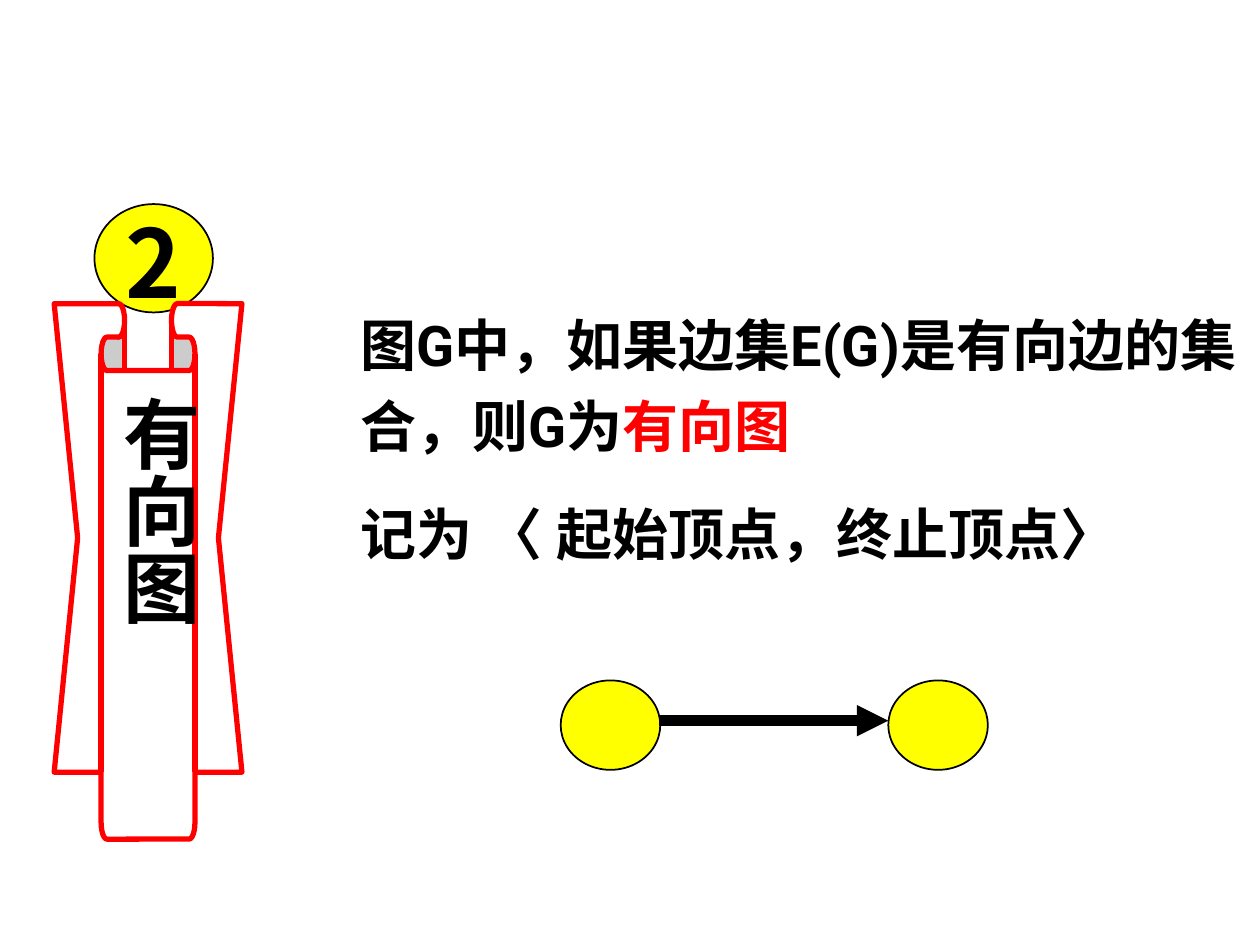
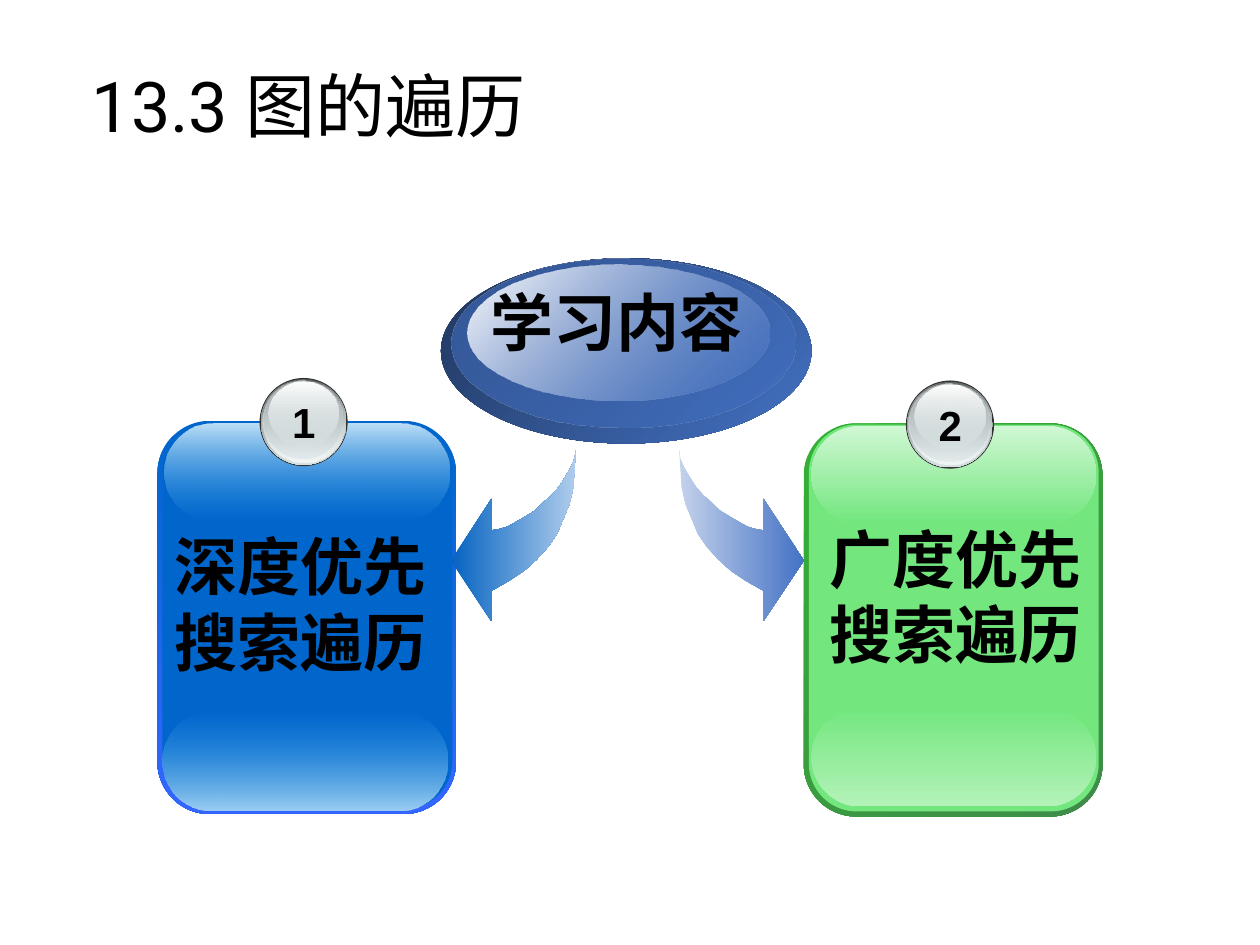
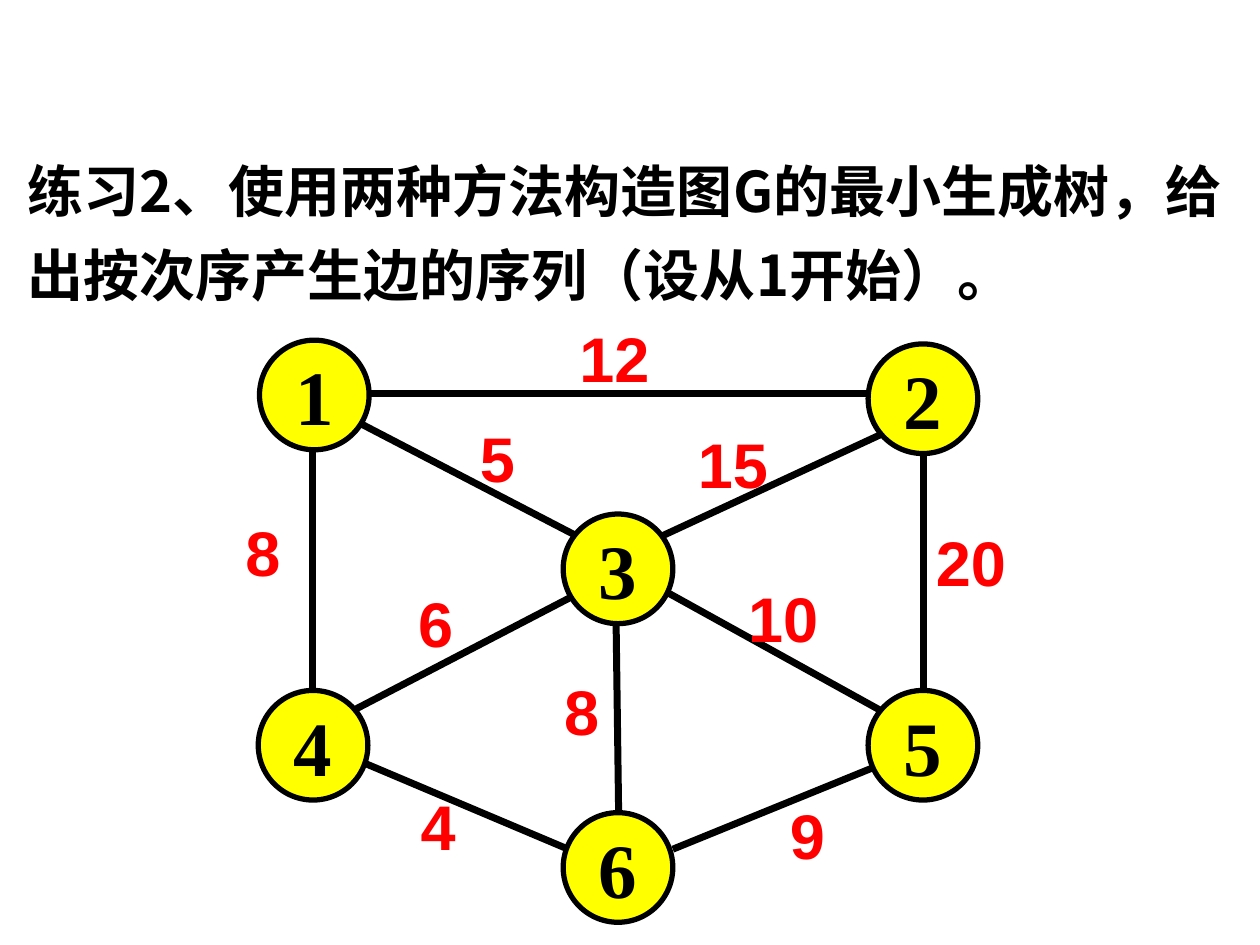
from pptx import Presentation
from pptx.dml.color import RGBColor
from pptx.enum.shapes import MSO_CONNECTOR, MSO_SHAPE as SHAPE
from pptx.enum.text import MSO_ANCHOR as ANCHOR, MSO_AUTO_SIZE as FIT, PP_ALIGN as ALIGN
from pptx.oxml.ns import qn
from pptx.util import Inches, Pt
from lxml.etree import SubElement

rgb = RGBColor.from_string
BLACK, WHITE, RED, YELLOW = map(rgb, ("000000", "FFFFFF", "FF0000", "FFFF00"))
BLUE, BRIGHT_BLUE, SKY = map(rgb, ("0066CC", "3366FF", "3CA1E6"))
SKY_LIGHT, SKY_PALE = map(rgb, ("9BCFF2", "BEE0F7"))
GREEN, GREEN_EDGE, GREEN_DARK = map(rgb, ("73E77E", "34B034", "3F8B4A"))
GREEN_LIGHT, GREEN_PALE = map(rgb, ("B3F2B9", "D0F7D4"))
NAVY, ROYAL, STEEL = map(rgb, ("1F355B", "365A9B", "4472C4"))
STEEL_LIGHT, LINK_BLUE, LINK_LIGHT = map(rgb, ("C4D2EC", "0563C1", "B0CDEB"))
CHARCOAL, GREY, SILVER = map(rgb, ("333333", "636869", "AAB2B3"))
MIST, MIST_LIGHT = map(rgb, ("D6E1E2", "F1F5F5"))

ARIAL, ROBOTO, NOTO, TIMES = "Arial", "Roboto", "Noto Sans CJK SC", "Times New Roman"


# Text
def write(frame, text, *, size, font=ARIAL, color=BLACK, bold=True, align=ALIGN.LEFT,
          line=None, gap=0):
    """text is a string or a list of paragraphs; a paragraph is a string
    or a list of (words, font, color) runs."""
    for number, content in enumerate([text] if isinstance(text, str) else text):
        paragraph = frame.add_paragraph() if number else frame.paragraphs[0]
        paragraph.alignment = align
        paragraph.space_before = Pt(gap if number else 0)
        if line:
            paragraph.line_spacing = line
        runs = [(content, font, color)] if isinstance(content, str) else content
        for words, face, tint in runs:
            run = paragraph.add_run()
            run.text = words
            run.font.size, run.font.bold, run.font.name = Pt(size), bold, face
            run.font.color.rgb = tint
            SubElement(run.font._element, qn("a:ea")).set("typeface", face)


def text_box(slide, box, text, *, wrap=True, fit=FIT.SHAPE_TO_FIT_TEXT, **style):
    frame = slide.shapes.add_textbox(*map(Inches, box)).text_frame
    frame.word_wrap, frame.auto_size = wrap, fit
    write(frame, text, **style)
    return frame


# Shapes and fills
def paint(shape, fill, edge=None, width=1):
    """fill is a colour, or (angle, start, end) with (colour, opacity) ends."""
    shape.shadow.inherit = False
    if isinstance(fill, RGBColor):
        shape.fill.solid()
        shape.fill.fore_color.rgb = fill
    else:
        angle, *ends = fill
        shape.fill.gradient()
        shape.fill.gradient_angle = (360 - angle) % 360
        for stop, (color, _) in zip(shape.fill.gradient_stops, ends):
            stop.color.rgb = color
        tints = shape._element.spPr.findall(".//" + qn("a:srgbClr"))
        for tint, (_, opacity) in zip(tints, ends):
            if opacity < 100:
                SubElement(tint, qn("a:alpha")).set("val", str(opacity * 1000))
    if edge is None:
        shape.line.fill.background()
    else:
        shape.line.color.rgb = edge
        shape.line.width = Pt(width)
    return shape


def blend(angle, start, end, start_opacity=100, end_opacity=100):
    return angle, (start, start_opacity), (end, end_opacity)


def add_shape(slide, kind, box, fill, edge=None, width=1, adjust=()):
    shape = slide.shapes.add_shape(kind, *map(Inches, box))
    for index, value in enumerate(adjust):
        shape.adjustments[index] = value
    return paint(shape, fill, edge, width)


def add_line(slide, start, end, width, arrow=False):
    link = slide.shapes.add_connector(MSO_CONNECTOR.STRAIGHT, *map(Inches, start + end))
    link.line.color.rgb = BLACK
    link.line.width = Pt(width)
    if arrow:
        SubElement(link.line._get_or_add_ln(), qn("a:tailEnd")).set("type", "triangle")
    SubElement(link._element.spPr, qn("a:effectLst"))


# Slide 1: directed graph
def directed_graph(slide):
    # Numbered ribbon
    add_shape(slide, SHAPE.OVAL, (0.75, 1.62, 0.94, 0.86), YELLOW, BLACK)
    text_box(slide, (0.9, 1.57, 0.71, 1), "2", fit=FIT.NONE, size=54, font=NOTO, line=Pt(65))
    add_shape(slide, SHAPE.DOWN_RIBBON, (0.43, 2.41, 1.49, 4.25), WHITE, RED, 3, (0.125, 0.5))
    label = text_box(slide, (0.75, 3.04, 0.93, 3.62), "有向图", fit=FIT.NONE,
                     size=44, align=ALIGN.CENTER)
    label.margin_left = label.margin_right = Inches(0.05)
    label.margin_top = label.margin_bottom = Inches(0.1)
    label._txBody.bodyPr.set("vert", "eaVert")

    # Definition
    text_box(slide, (2.76, 2.31, 7.28, 2.25),
             [[("图G中，如果边集E(G)是有向边的集合，则G为", ROBOTO, BLACK),
               ("有向图", ROBOTO, RED)],
              "记为 〈 起始顶点，终止顶点〉"],
             size=32, font=ROBOTO, line=1.2, gap=16)

    # Two vertices and the directed edge
    for left in (4.45, 7.05):
        add_shape(slide, SHAPE.OVAL, (left, 5.4, 0.79, 0.71), YELLOW, BLACK)
    add_line(slide, (5.23, 5.72), (7.05, 5.72), 6, arrow=True)


# Slide 2: graph traversal
BADGE_RINGS = (
    (0, 0, 0.7, 0.7, CHARCOAL),
    (0.01, 0.01, 0.68, 0.68, blend(90, GREY, MIST)),
    (0.02, 0.01, 0.66, 0.66, blend(90, MIST, MIST_LIGHT, 0)),
    (0.03, 0.02, 0.63, 0.62, blend(90, SILVER, MIST, 100, 48)),
    (0.07, 0.03, 0.56, 0.5, blend(90, WHITE, MIST, 100, 38)),
)


def badge(slide, left, top, number):
    for dx, dy, width, height, fill in BADGE_RINGS:
        add_shape(slide, SHAPE.OVAL, (left + dx, top + dy, width, height), fill)
    text_box(slide, (left + 0.16, top + 0.1, 0.38, 0.5), number, wrap=False,
             size=24, align=ALIGN.CENTER)


def card(slide, left, top, number, topic, topic_at, gloss_at, rim, face, shine, glow):
    rounded = SHAPE.ROUNDED_RECTANGLE
    add_shape(slide, rounded, (left, top, 2.37, 3.12), rim, adjust=(0.175,))
    add_shape(slide, rounded, (left + 0.04, top + 0.01, 2.3, 3.07), face, adjust=(0.165,))
    add_shape(slide, rounded, (*gloss_at, 2.26, 0.78), glow, adjust=(0.5,))
    add_shape(slide, rounded, (left + 0.06, top + 0.02, 2.26, 0.77), shine, adjust=(0.5,))
    badge(slide, left + 0.81, top - 0.34, number)
    text_box(slide, (*topic_at, 2.23, 1.3), topic, size=36, align=ALIGN.CENTER)


# Right-hand curved arrow, as offsets from its upper left corner
ARROW = ((0, 0), (0.01, 0.16), (0.02, 0.3), (0.05, 0.43), (0.1, 0.55), (0.15, 0.67),
         (0.22, 0.77), (0.31, 0.87), (0.41, 0.96), (0.53, 1.04), (0.67, 1.12),
         (0.67, 1.36), (0.99, 0.88), (0.67, 0.39), (0.67, 0.64), (0.61, 0.63),
         (0.54, 0.61), (0.47, 0.57), (0.4, 0.53), (0.32, 0.48), (0.26, 0.42),
         (0.19, 0.36), (0.13, 0.29), (0.08, 0.21), (0.04, 0.14), (0.01, 0.07))


def curved_arrow(slide, tail, direction, fill):
    points = [(Inches(tail + direction * dx), Inches(3.57 + dy)) for dx, dy in ARROW]
    builder = slide.shapes.build_freeform(*points[0])
    builder.add_line_segments(points[1:], close=True)
    paint(builder.convert_to_shape(), fill)


def traversal(slide):
    title = slide.shapes.title
    title.left, title.top, title.width, title.height = map(Inches, (0.63, 0.21, 8.75, 1.33))
    title.text_frame.vertical_anchor = ANCHOR.MIDDLE
    title.text_frame.auto_size = FIT.NONE
    write(title.text_frame, [[("13.3 ", ROBOTO, BLACK), ("图的遍历", ARIAL, BLACK)]],
          size=40, bold=False, line=0.9)

    # Two topics
    card(slide, 1.25, 3.34, "1", "深度优先搜索遍历", (1.27, 4.14), (1.29, 5.65),
         blend(90, BLUE, BRIGHT_BLUE), BLUE,
         blend(90, SKY_PALE, SKY, 100, 0), blend(90, SKY, SKY_LIGHT, 0))
    card(slide, 6.38, 3.36, "2", "广度优先搜索遍历", (6.47, 4.08), (6.44, 5.62),
         blend(45, GREEN_EDGE, GREEN_DARK), GREEN,
         blend(90, GREEN_PALE, GREEN), blend(90, GREEN, GREEN_LIGHT))

    # Heading oval
    for box, fill in (
        ((3.5, 2.05, 2.94, 1.47), blend(45, NAVY, STEEL)),
        ((3.58, 2.05, 2.73, 1.34), blend(45, ROYAL, STEEL, 100, 48)),
        ((3.71, 2.1, 2.4, 1.08), blend(45, WHITE, STEEL, 100, 38)),
    ):
        add_shape(slide, SHAPE.OVAL, box, fill)
    text_box(slide, (3.77, 2.2, 2.25, 0.7), "学习内容", size=36, align=ALIGN.CENTER)

    curved_arrow(slide, 4.57, -1, blend(0, LINK_BLUE, LINK_LIGHT))
    curved_arrow(slide, 5.39, 1, blend(0, STEEL_LIGHT, STEEL))


# Slide 3: minimum spanning tree exercise
# Each edge: start, end, weight, upper left corner of the weight
EDGES = (
    ((2.9, 3.12), (6.91, 3.12), "12", (4.5, 2.49)),
    ((4.89, 4.95), (4.91, 6.45), "8", (4.38, 5.29)),
    ((7.33, 5.5), (7.33, 3.4), "20", (7.33, 4.11)),
    ((2.48, 5.57), (2.48, 3.47), "8", (1.85, 4.03)),
    ((7.01, 5.65), (5.22, 4.66), "10", (5.84, 4.55)),
    ((4.59, 4.26), (2.8, 3.33), "5", (3.71, 3.28)),
    ((4.57, 4.72), (2.8, 5.64), "6", (3.22, 4.59)),
    ((7.01, 3.44), (5.22, 4.27), "15", (5.44, 3.33)),
    ((7.01, 6.06), (5.34, 6.74), "9", (6.17, 6.27)),
    ((4.51, 6.74), (2.9, 6.06), "4", (3.24, 6.2)),
)
VERTICES = {"1": (2.06, 2.7), "2": (6.89, 2.73), "3": (4.47, 4.08),
            "4": (2.05, 5.48), "5": (6.89, 5.48), "6": (4.47, 6.45)}


def spanning_tree(slide):
    text_box(slide, (0.12, 1.06, 9.76, 1.44),
             "练习2、使用两种方法构造图G的最小生成树，给出按次序产生边的序列（设从1开始）。",
             size=32, font=NOTO, line=Pt(48))
    for start, end, _, _ in EDGES:
        add_line(slide, start, end, 4)
    for _, _, weight, corner in EDGES:
        text_box(slide, (*corner, 1.06, 0.7), weight, size=36, color=RED)
    for name, corner in VERTICES.items():
        vertex = add_shape(slide, SHAPE.OVAL, (*corner, 0.87, 0.87), YELLOW, BLACK, 3)
        vertex.text_frame.word_wrap = False
        vertex.text_frame.vertical_anchor = ANCHOR.MIDDLE
        write(vertex.text_frame, name, size=44, font=TIMES, align=ALIGN.CENTER)


def main():
    deck = Presentation()
    deck.slide_width, deck.slide_height = Inches(10), Inches(7.5)
    title_only, blank = deck.slide_layouts[5], deck.slide_layouts[6]
    for layout, build in ((blank, directed_graph), (title_only, traversal),
                          (blank, spanning_tree)):
        build(deck.slides.add_slide(layout))
    deck.save("out.pptx")


if __name__ == "__main__":
    main()
